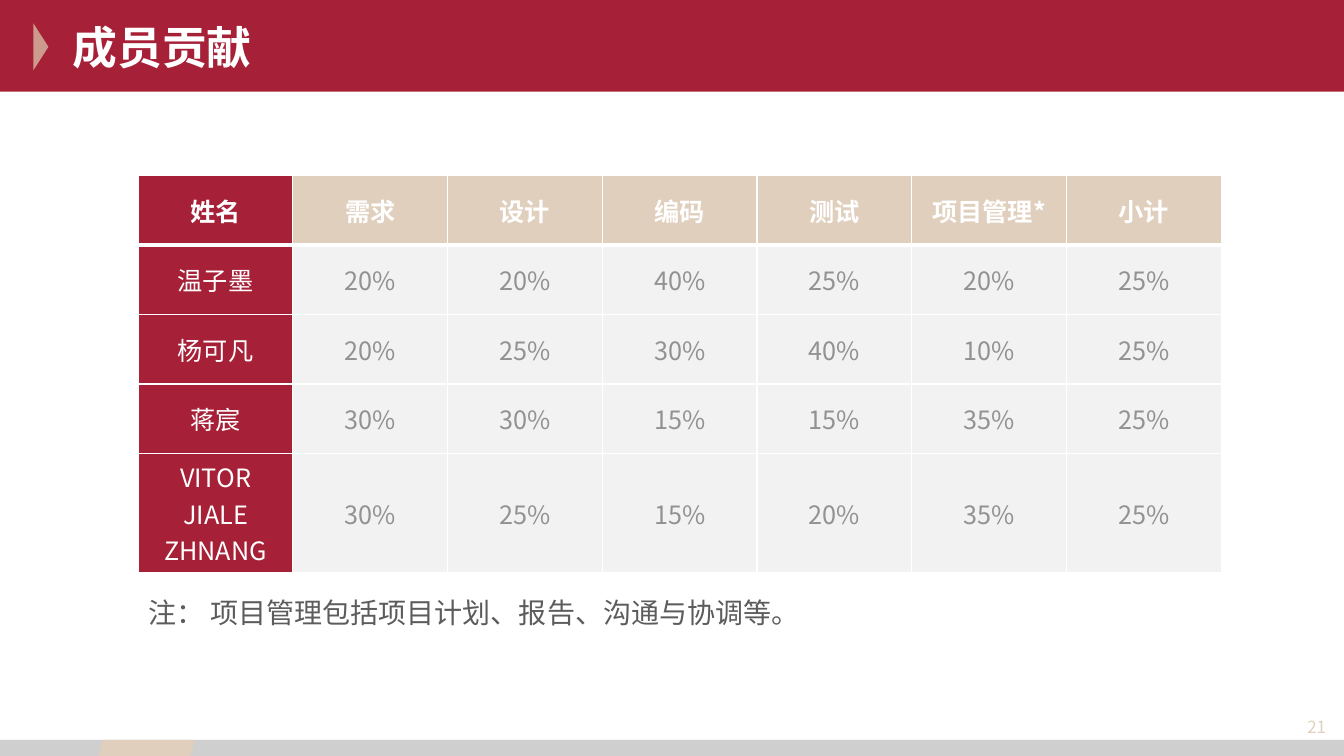
from dataclasses import dataclass
from typing import Optional

from lxml.etree import SubElement
from pptx import Presentation
from pptx.dml.color import RGBColor
from pptx.enum.shapes import MSO_SHAPE
from pptx.enum.text import MSO_ANCHOR, PP_ALIGN
from pptx.oxml.ns import qn
from pptx.util import Inches, Pt


@dataclass(frozen=True)
class Theme:
    font: str = "Noto Sans CJK SC"
    red: str = "A62038"
    rose: str = "CC9B8E"
    sand: str = "E0CFBD"
    footer: str = "BFBFBF"
    pale: str = "F2F2F2"
    white: str = "FFFFFF"
    value: str = "929292"
    note: str = "5C5C5C"
    title_size: int = 32
    note_size: int = 20
    table_size: int = 18
    number_size: int = 12


@dataclass(frozen=True)
class Style:
    size: int
    color: str
    bold: bool = False
    align: PP_ALIGN = PP_ALIGN.LEFT
    line_spacing: Optional[float] = None


@dataclass(frozen=True)
class Decoration:
    kind: MSO_SHAPE
    left: float
    top: float
    width: float
    height: float
    color: str
    rotation: int = 0
    opacity: int = 100


@dataclass(frozen=True)
class Label:
    text: str
    left: float
    top: float
    width: float
    height: float
    style: Style
    anchor: MSO_ANCHOR = MSO_ANCHOR.MIDDLE


THEME = Theme()
SLIDE_WIDTH, SLIDE_HEIGHT = 13.33, 7.5
FOOTER_HEIGHT = 0.16
FOOTER_TOP = SLIDE_HEIGHT - FOOTER_HEIGHT
TABLE_LEFT, TABLE_TOP = 1.37, 1.74
COLUMN_WIDTH = 1.535
ROW_HEIGHTS = (0.69, 0.69, 0.69, 0.69, 0.82)

DECORATIONS = (
    Decoration(MSO_SHAPE.RECTANGLE, 0, 0, SLIDE_WIDTH, 0.91, THEME.red),
    Decoration(MSO_SHAPE.ISOSCELES_TRIANGLE, 0.17, 0.39, 0.47, 0.15, THEME.rose, rotation=90),
    Decoration(MSO_SHAPE.RECTANGLE, 0, FOOTER_TOP, SLIDE_WIDTH, FOOTER_HEIGHT, THEME.footer, opacity=75),
    Decoration(MSO_SHAPE.PARALLELOGRAM, 0.98, FOOTER_TOP, 0.95, FOOTER_HEIGHT, THEME.sand),
)

LABELS = (
    Label("成员贡献", 0.62, 0.14, 10.69, 0.65, Style(THEME.title_size, THEME.white, bold=True)),
    Label("21", 12.12, 7.02, 1.13, 0.38, Style(THEME.number_size, THEME.sand, align=PP_ALIGN.RIGHT)),
    Label(
        "注： 项目管理包括项目计划、报告、沟通与协调等。", TABLE_LEFT, 5.79, 10.58, 0.5,
        Style(THEME.note_size, THEME.note, align=PP_ALIGN.JUSTIFY, line_spacing=1.2),
        MSO_ANCHOR.TOP,
    ),
)

CONTRIBUTIONS = (
    ("姓名", "需求", "设计", "编码", "测试", "项目管理*", "小计"),
    ("温子墨", "20%", "20%", "40%", "25%", "20%", "25%"),
    ("杨可凡", "20%", "25%", "30%", "40%", "10%", "25%"),
    ("蒋宸", "30%", "30%", "15%", "15%", "35%", "25%"),
    ("VITOR JIALE ZHNANG", "30%", "25%", "15%", "20%", "35%", "25%"),
)


def write_text(frame, text: str, style: Style) -> None:
    """Write one styled paragraph, with the font also set for Chinese."""
    para = frame.paragraphs[0]
    para.text = text
    para.alignment = style.align
    if style.line_spacing:
        para.line_spacing = style.line_spacing
    font = para.font
    font.name = THEME.font
    font.size = Pt(style.size)
    font.bold = style.bold
    font.color.rgb = RGBColor.from_string(style.color)
    properties = para._p.get_or_add_pPr().find(qn("a:defRPr"))
    SubElement(properties, qn("a:ea"), typeface=THEME.font)


def draw_decoration(page, item: Decoration) -> None:
    """Draw a plain filled shape."""
    shape = page.shapes.add_shape(
        item.kind, Inches(item.left), Inches(item.top), Inches(item.width), Inches(item.height)
    )
    shape.shadow.inherit = False
    shape.rotation = item.rotation
    shape.line.fill.background()
    shape.fill.solid()
    shape.fill.fore_color.rgb = RGBColor.from_string(item.color)
    if item.opacity < 100:
        color = shape._element.spPr.find(qn("a:solidFill")).find(qn("a:srgbClr"))
        SubElement(color, qn("a:alpha"), val=str(item.opacity * 1000))


def draw_label(page, item: Label) -> None:
    """Draw a wrapped text box."""
    box = page.shapes.add_textbox(
        Inches(item.left), Inches(item.top), Inches(item.width), Inches(item.height)
    )
    box.text_frame.word_wrap = True
    box.text_frame.vertical_anchor = item.anchor
    write_text(box.text_frame, item.text, item.style)


def set_borders(cell, top: int, bottom: int) -> None:
    """Put white borders before the fill of a cell."""
    properties = cell._tc.get_or_add_tcPr()
    widths = {"a:lnL": 1, "a:lnR": 1, "a:lnT": top, "a:lnB": bottom}
    for position, (tag, width) in enumerate(widths.items()):
        line = SubElement(properties, qn(tag), w=str(Pt(width)))
        fill = SubElement(line, qn("a:solidFill"))
        SubElement(fill, qn("a:srgbClr"), val=THEME.white)
        properties.insert(position, line)


def draw_contributions(page) -> None:
    """Draw the table of each member's share of the work."""
    columns = len(CONTRIBUTIONS[0])
    table = page.shapes.add_table(
        len(CONTRIBUTIONS), columns, Inches(TABLE_LEFT), Inches(TABLE_TOP),
        Inches(COLUMN_WIDTH * columns), Inches(sum(ROW_HEIGHTS)),
    ).table
    table.horz_banding = False
    for column in table.columns:
        column.width = Inches(COLUMN_WIDTH)
    for row, height in zip(table.rows, ROW_HEIGHTS):
        row.height = Inches(height)
    for row_index, values in enumerate(CONTRIBUTIONS):
        for column_index, text in enumerate(values):
            header, name = row_index == 0, column_index == 0
            cell = table.cell(row_index, column_index)
            cell.vertical_anchor = MSO_ANCHOR.MIDDLE
            cell.fill.solid()
            background = THEME.red if name else THEME.sand if header else THEME.pale
            cell.fill.fore_color.rgb = RGBColor.from_string(background)
            set_borders(cell, top=3 if row_index == 1 else 1, bottom=3 if header else 1)
            color = THEME.white if header or name else THEME.value
            write_text(cell.text_frame, text, Style(THEME.table_size, color, header, PP_ALIGN.CENTER))


def main() -> None:
    """Build the slide and save it."""
    deck = Presentation()
    deck.slide_width, deck.slide_height = Inches(SLIDE_WIDTH), Inches(SLIDE_HEIGHT)
    page = deck.slides.add_slide(deck.slide_layouts[6])
    for decoration in DECORATIONS:
        draw_decoration(page, decoration)
    draw_contributions(page)
    for label in LABELS:
        draw_label(page, label)
    deck.save("out.pptx")


if __name__ == "__main__":
    main()
